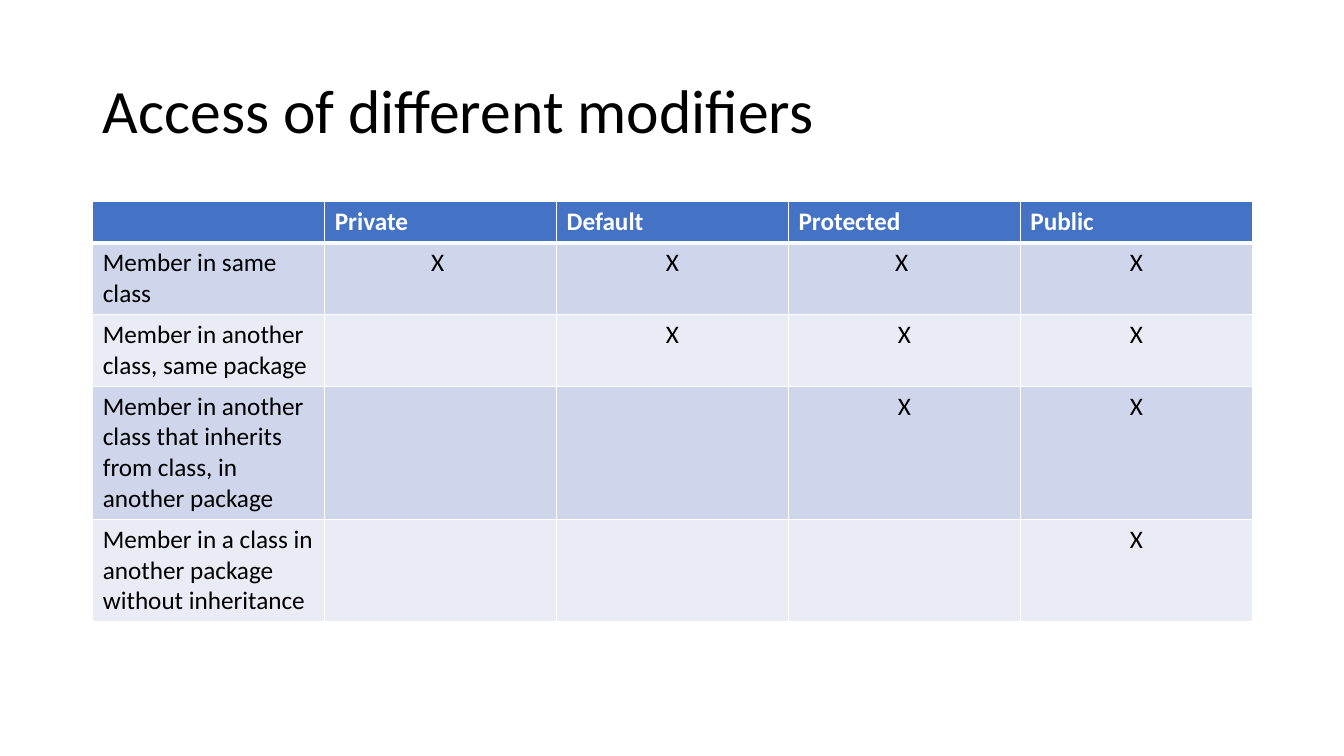
from lxml.etree import SubElement
from pptx import Presentation
from pptx.dml.color import RGBColor
from pptx.enum.text import MSO_ANCHOR, PP_ALIGN
from pptx.oxml.ns import qn
from pptx.util import Inches, Pt

COLORS = {"head": "4472C4", "odd": "CFD5EA", "even": "E9EBF5",
          "white": "FFFFFF", "black": "000000"}
HEADS = ["", "Private", "Default", "Protected", "Public"]
ROWS = [
    ("Member in same class", ["X ", "X", "X ", "X"]),
    ("Member in another class, same package", ["", "X", "X", "X"]),
    ("Member in another class that inherits from class, in another package",
     ["", "", "X", "X"]),
    ("Member in a class in another package without inheritance",
     ["", "", "", "X"]),
]
HEIGHTS = [0.41, 0.71, 0.71, 1.32, 1.01]


def write(frame, text, size=18, color="black", bold=False,
          align=PP_ALIGN.LEFT, space=None):
    """Put formatted text in the first paragraph of a text frame."""
    para = frame.paragraphs[0]
    para.alignment = align
    para.line_spacing = space
    para.font.size = Pt(size)
    if text:
        run = para.add_run()
        run.text = text
        font = run.font
        font.name, font.size, font.bold = "Calibri", Pt(size), bold
        font.color.rgb = RGBColor.from_string(COLORS[color])


def border(cell, **widths):
    """Draw white cell edges; widths maps L, R, T, B to points."""
    props = cell._tc.get_or_add_tcPr()
    for side, width in widths.items():
        line = SubElement(props, qn(f"a:ln{side}"), w=str(Pt(width)))
        fill = SubElement(line, qn("a:solidFill"))
        SubElement(fill, qn("a:srgbClr"), val=COLORS["white"])


deck = Presentation()
deck.slide_width, deck.slide_height = Inches(13.33), Inches(7.5)
slide = deck.slides.add_slide(deck.slide_layouts[5])

title = slide.shapes.title
title.left, title.top = Inches(0.92), Inches(0.4)
title.width, title.height = Inches(11.5), Inches(1.45)
title.text_frame.vertical_anchor = MSO_ANCHOR.MIDDLE
write(title.text_frame, "Access of different modifiers", size=44, space=0.9)

grid = [HEADS] + [[label, *marks] for label, marks in ROWS]
table = slide.shapes.add_table(
    len(grid), len(HEADS), Inches(0.92), Inches(2),
    Inches(11.5), Inches(sum(HEIGHTS))).table
for col in table.columns:
    col.width = Inches(2.3)

for r, texts in enumerate(grid):
    table.rows[r].height = Inches(HEIGHTS[r])
    head = r == 0
    shade = "head" if head else "odd" if r % 2 else "even"
    for c, text in enumerate(texts):
        cell = table.cell(r, c)
        border(cell, L=1, R=1, T=3 if r == 1 else 1, B=3 if head else 1)
        cell.fill.solid()
        cell.fill.fore_color.rgb = RGBColor.from_string(COLORS[shade])
        mark = r > 0 and c > 0
        write(cell.text_frame, text, bold=head,
              color="white" if head else "black",
              align=PP_ALIGN.CENTER if mark else PP_ALIGN.LEFT)

deck.save("out.pptx")
